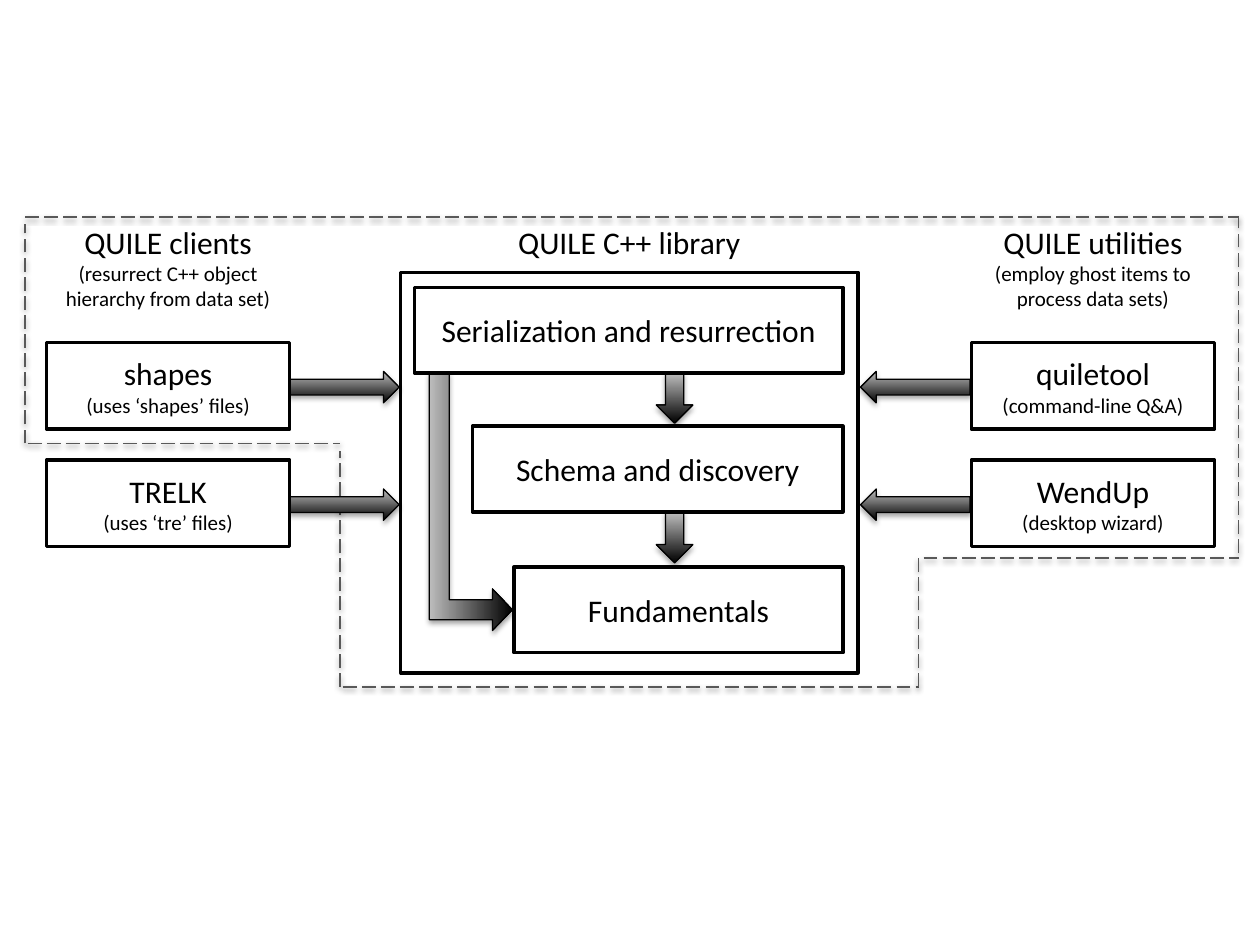
from lxml.etree import SubElement
from pptx import Presentation
from pptx.dml.color import RGBColor
from pptx.enum.dml import MSO_LINE
from pptx.enum.shapes import MSO_CONNECTOR, MSO_SHAPE
from pptx.enum.text import MSO_ANCHOR, MSO_AUTO_SIZE, PP_ALIGN
from pptx.oxml.ns import qn
from pptx.util import Inches, Pt

HUES = {"ink": "000000", "paper": "FFFFFF", "dash": "595959", "pale": "BDBDBD"}
PAGE = (0, 0, 10, 7.5)


def hue(name):
    return RGBColor.from_string(HUES[name])


def part(box, x, y, w, h):
    left, top, wide, high = box
    return (left + wide * x / 100, top + high * y / 100,
            wide * w / 100, high * h / 100)


def units(box):
    return [Inches(v) for v in box]


def shade(shape, alpha, gap):
    props = shape._element.spPr
    list_ = props.find(qn("a:effectLst"))
    if list_ is None:
        list_ = SubElement(props, qn("a:effectLst"))
    cast = SubElement(list_, qn("a:outerShdw"), blurRad=str(Pt(3.1)),
                      dist=str(Pt(gap)), dir="5400000", rotWithShape="0")
    tone = SubElement(cast, qn("a:srgbClr"), val=HUES["ink"])
    SubElement(tone, qn("a:alpha"), val=str(alpha * 1000))


def write(shape, lines):
    frame = shape.text_frame
    frame.word_wrap = True
    for i, (text, size) in enumerate(zip(lines, (18, 12))):
        para = frame.paragraphs[0] if i == 0 else frame.add_paragraph()
        para.alignment = PP_ALIGN.CENTER
        run = para.add_run()
        run.text = text
        run.font.size = Pt(size)
        run.font.name = "Calibri"
        run.font.color.rgb = hue("ink")


def label(shapes, box, *lines):
    text = shapes.add_textbox(*units(box))
    write(text, lines)
    text.text_frame.auto_size = MSO_AUTO_SIZE.SHAPE_TO_FIT_TEXT


def outline(shapes, kind, box, width):
    shape = shapes.add_shape(kind, *units(box))
    shape.shadow.inherit = False
    shape.line.color.rgb = hue("ink")
    shape.line.width = Pt(width)
    return shape


def block(shapes, box, *lines):
    rect = outline(shapes, MSO_SHAPE.RECTANGLE, box, 2)
    rect.fill.solid()
    rect.fill.fore_color.rgb = hue("paper")
    rect.text_frame.vertical_anchor = MSO_ANCHOR.MIDDLE
    write(rect, lines)


def arrow(shapes, kind, box, tones=("ink", "pale"), angle=90):
    shape = outline(shapes, kind, box, 0.75)
    shape.fill.gradient()
    shape.fill.gradient_angle = angle
    for stop, tone, place in zip(shape.fill.gradient_stops, tones, (0, 1)):
        stop.color.rgb = hue(tone)
        stop.position = place
    shade(shape, 35, 1.8)
    return shape


def border(shapes, box):
    edges = [
        (27, 72.67, 27, 47.73), (27.2, 72.67, 72.9, 72.67),
        (2.2, 46.93, 27, 46.93), (73.3, 59.07, 98.3, 59.07),
        (2, 22.93, 98.3, 22.93), (72.9, 72.67, 72.9, 59.07),
        (2, 46.93, 2, 23.73), (98.3, 58.53, 98.3, 22.93),
    ]
    for x1, y1, x2, y2 in edges:
        start = part(box, x1, y1, 0, 0)[:2]
        end = part(box, x2, y2, 0, 0)[:2]
        line = shapes.add_connector(MSO_CONNECTOR.STRAIGHT, *units(start + end))
        line.line.color.rgb = hue("dash")
        line.line.width = Pt(1)
        line.line.dash_style = MSO_LINE.LONG_DASH
        shade(line, 38, 1.6)


def side(shapes, box, head, span, kind, start, items):
    label(shapes, part(box, span[0], 0, span[1], 30.9), *head)
    for i, item in enumerate(items):
        top = 38.1 + 35.6 * i
        arrow(shapes, kind, part(box, start, top + 8.8, 45, 9.5))
        block(shapes, part(box, 0, top, 100, 26.3), *item)


def core(shapes, box):
    group = shapes.add_group_shape().shapes
    block(group, part(box, 0, 12.2, 100, 87.8))
    for top in (64.9, 34.3):
        arrow(group, MSO_SHAPE.DOWN_ARROW, part(box, 55.9, top, 8, 11))
    bend = arrow(group, MSO_SHAPE.BENT_UP_ARROW,
                 part(box, -12.9, 53.3, 56.5, 18.2), ("pale", "ink"), 0)
    bend.rotation = 90
    bend._element.spPr.find(qn("a:gradFill")).set("rotWithShape", "0")
    for i, value in enumerate((0.24, 0.25, 0.24)):
        bend.adjustments[i] = value
    layers = [(3, 15.5, "Serialization and resurrection"),
              (15.7, 45.9, "Schema and discovery"),
              (24.8, 76.8, "Fundamentals")]
    for left, top, name in layers:
        block(group, part(box, left, top, 96.7 - left, 18.8), name)
    label(group, part(box, 0, 0, 100, 11), "QUILE C++ library")


def main():
    deck = Presentation()
    deck.slide_width, deck.slide_height = units(PAGE[2:])
    shapes = deck.slides.add_slide(deck.slide_layouts[6]).shapes
    border(shapes, PAGE)
    core(shapes, part(PAGE, 31.8, 22.93, 36.3, 48.27))
    side(shapes, part(PAGE, 77.1, 22.93, 19.3, 34.93),
         ("QUILE utilities", "(employ ghost items to process data sets)"),
         (0, 100), MSO_SHAPE.LEFT_ARROW, -45.6,
         [("quiletool", "(command-line Q&A)"),
          ("WendUp", "(desktop wizard)")])
    side(shapes, part(PAGE, 3.7, 22.93, 19.3, 34.93),
         ("QUILE clients", "(resurrect C++ object hierarchy from data set)"),
         (-2, 104), MSO_SHAPE.RIGHT_ARROW, 100,
         [("shapes", "(uses ‘shapes’ files)"),
          ("TRELK", "(uses ‘tre’ files)")])
    deck.save("out.pptx")


if __name__ == "__main__":
    main()
